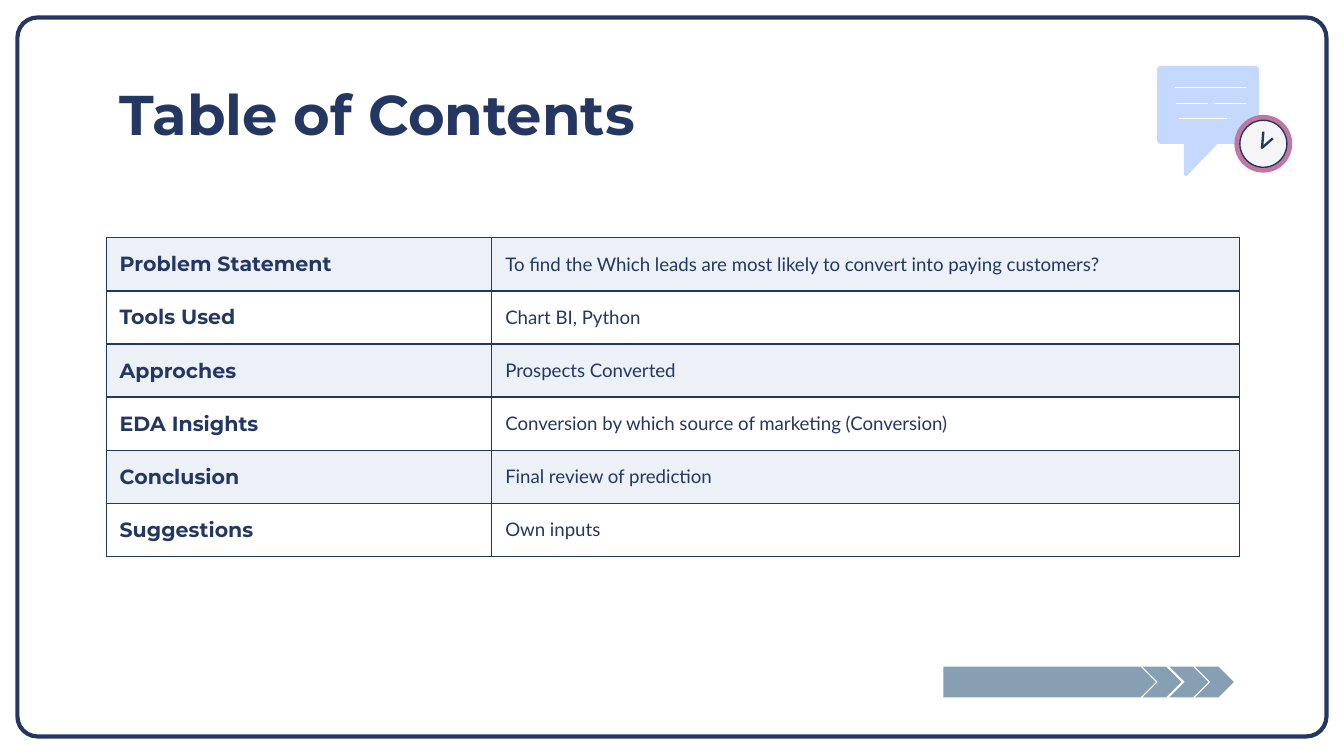
import math
from lxml import etree
from pptx import Presentation
from pptx.dml.color import RGBColor
from pptx.enum.shapes import MSO_CONNECTOR, MSO_SHAPE
from pptx.enum.text import MSO_ANCHOR, PP_ALIGN
from pptx.oxml.ns import qn
from pptx.util import Inches, Pt

ROUND_RECT, OVAL = MSO_SHAPE.ROUNDED_RECTANGLE, MSO_SHAPE.OVAL
PENTAGON, CHEVRON = MSO_SHAPE.PENTAGON, MSO_SHAPE.CHEVRON
STRAIGHT = MSO_CONNECTOR.STRAIGHT
TOP, MIDDLE = MSO_ANCHOR.TOP, MSO_ANCHOR.MIDDLE
LEFT = PP_ALIGN.LEFT
NAVY, WHITE, BAND = "243762", "FFFFFF", "ECF1F7"
SKY, PINK, FACE, STEEL = "C5D9FF", "C078A1", "F5F4F6", "869FB2"


def rgb(value):
    return RGBColor.from_string(value)


def paint(shape, fill=None, line=None, width=0.75):
    shape.shadow.inherit = False
    if fill:
        shape.fill.solid()
        shape.fill.fore_color.rgb = rgb(fill)
    else:
        shape.fill.background()
    if line:
        shape.line.color.rgb = rgb(line)
        shape.line.width = Pt(width)
    else:
        shape.line.fill.background()


# Widescreen 16:9 slide
prs = Presentation()
prs.slide_width = Inches(10)
prs.slide_height = Inches(10) * 9 // 16
s = prs.slides.add_slide(prs.slide_layouts[5])

# Frame
frame = s.shapes.add_shape(ROUND_RECT, Inches(0.13), Inches(0.13), Inches(9.74), Inches(5.35))
frame.adjustments[0] = 0.028
paint(frame, line=NAVY, width=2.25)

# Title
title = s.shapes.title
title.left, title.top, title.width, title.height = Inches(0.79), Inches(0.49), Inches(6.88), Inches(0.63)
tf = title.text_frame
tf.word_wrap = True
tf.vertical_anchor = TOP
tf.margin_left = tf.margin_right = tf.margin_top = tf.margin_bottom = Inches(0.1)
p = tf.paragraphs[0]
p.alignment = LEFT
r = p.add_run()
r.text = "Table of Contents"
r.font.name, r.font.size, r.font.bold = "Montserrat", Pt(30), True
r.font.color.rgb = rgb(NAVY)

# Contents table
contents = [
    ("Problem Statement", "To find the Which leads are most likely to convert into paying customers?"),
    ("Tools Used", "Chart BI, Python"),
    ("Approches", "Prospects Converted"),
    ("EDA Insights", "Conversion by which source of marketing (Conversion)"),
    ("Conclusion", "Final review of prediction"),
    ("Suggestions", "Own inputs"),
]
column_fonts = [("Montserrat", 11, True), ("Lato", 10, False)]
table = s.shapes.add_table(len(contents), 2, Inches(0.79), Inches(1.77), Inches(8.43), Inches(2.37)).table
table.first_row = table.horz_banding = False
table.columns[0].width, table.columns[1].width = Inches(2.87), Inches(5.56)
for row, texts in enumerate(contents):
    for col, (text, (font, size, bold)) in enumerate(zip(texts, column_fonts)):
        cell = table.cell(row, col)
        cell.vertical_anchor = MIDDLE
        cell.margin_left = cell.margin_right = Inches(0.1)
        cell.margin_top = cell.margin_bottom = 0
        r = cell.text_frame.paragraphs[0].add_run()
        r.text = text
        r.font.name, r.font.size, r.font.bold = font, Pt(size), bold
        r.font.color.rgb = rgb(NAVY)
        # Borders come before the fill in the cell properties
        tc_pr = cell._tc.get_or_add_tcPr()
        for side in ("a:lnL", "a:lnR", "a:lnT", "a:lnB"):
            ln = etree.SubElement(tc_pr, qn(side), w=str(Pt(0.75)))
            solid = etree.SubElement(ln, qn("a:solidFill"))
            etree.SubElement(solid, qn("a:srgbClr"), val=NAVY)
        if row % 2 == 0:
            cell.fill.solid()
            cell.fill.fore_color.rgb = rgb(BAND)
        else:
            cell.fill.background()

# Speech bubble: rounded corners as (centre x, centre y, start angle), then the tail
radius = 0.03
corners = [(8.64, 0.52, 180), (9.34, 0.52, 270), (9.34, 1.04, 0), (8.64, 1.04, 90)]
tail = [(9.06, 1.07), (8.83, 1.31), (8.82, 1.31), (8.81, 1.3), (8.81, 1.07)]
outline = []
for x, y, start in corners:
    if start == 90:
        outline += tail
    for angle in range(start, start + 91, 15):
        a = math.radians(angle)
        outline.append((x + radius * math.cos(a), y + radius * math.sin(a)))
points = [(Inches(x), Inches(y)) for x, y in outline]
builder = s.shapes.build_freeform(*points[0])
builder.add_line_segments(points[1:], close=True)
paint(builder.convert_to_shape(), SKY)

# Lines of writing in the bubble
for x1, x2, y in [(8.74, 9.27, 0.65), (8.75, 8.99, 0.77), (9.03, 9.27, 0.77), (8.77, 9.13, 0.88)]:
    rule = s.shapes.add_connector(STRAIGHT, Inches(x1), Inches(y), Inches(x2), Inches(y))
    rule.line.color.rgb = rgb(WHITE)
    rule.line.width = Pt(0.5)
    etree.SubElement(rule._element.spPr, qn("a:effectLst"))

# Clock
for size, fill, line in [(0.43, PINK, None), (0.35, FACE, NAVY)]:
    disc = s.shapes.add_shape(OVAL, Inches(9.4 - size / 2), Inches(1.07 - size / 2), Inches(size), Inches(size))
    paint(disc, fill, line)
builder = s.shapes.build_freeform(Inches(9.4), Inches(0.98))
builder.add_line_segments([(Inches(9.39), Inches(1.1)), (Inches(9.47), Inches(1.03))], close=False)
paint(builder.convert_to_shape(), line=NAVY, width=1.25)

# Arrow bar with three chevrons
arrow_parts = [(PENTAGON, 7.02, 1.58)]
arrow_parts += [(CHEVRON, left, 0.29) for left in (8.5, 8.7, 8.89)]
for kind, left, width in arrow_parts:
    sp = s.shapes.add_shape(kind, Inches(left), Inches(4.96), Inches(width), Inches(0.23))
    paint(sp, STEEL)

prs.save("out.pptx")
